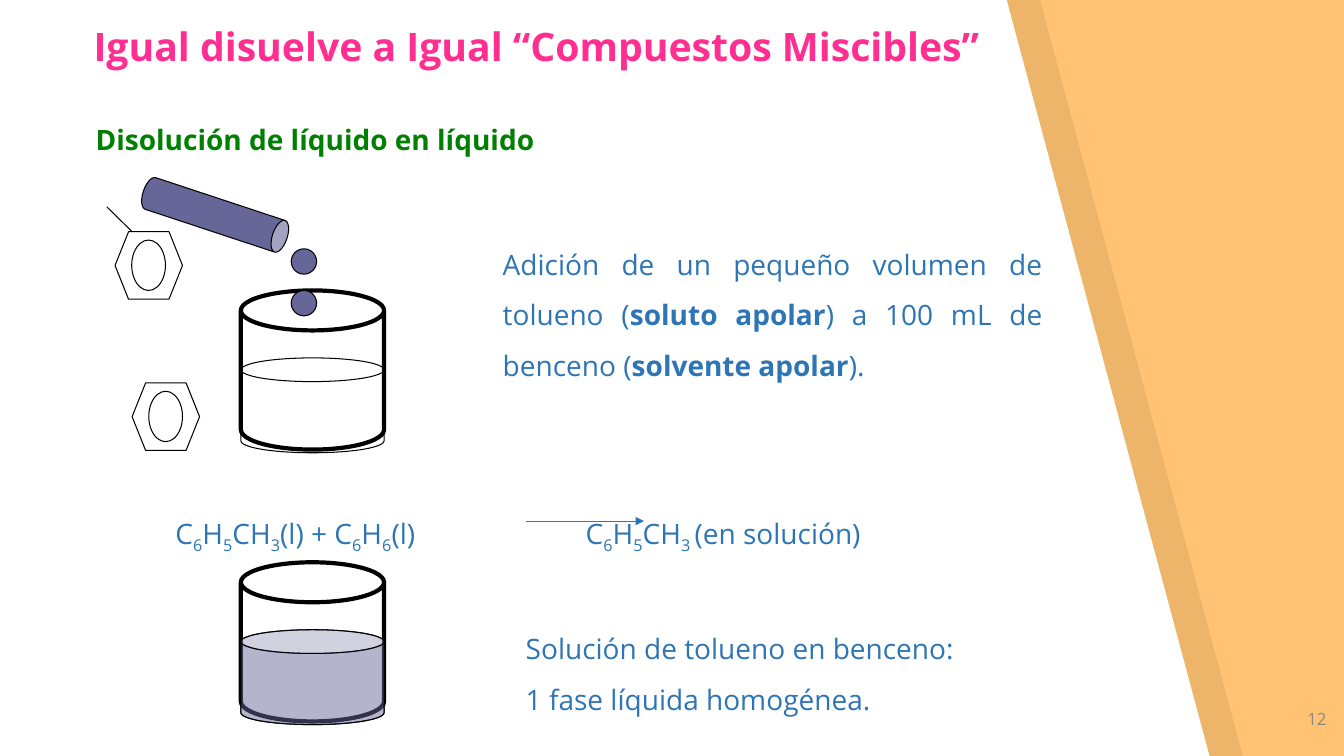
from lxml.etree import SubElement
from pptx import Presentation
from pptx.dml.color import RGBColor
from pptx.enum.shapes import MSO_CONNECTOR, MSO_SHAPE
from pptx.enum.text import MSO_ANCHOR, MSO_AUTO_SIZE, PP_ALIGN
from pptx.oxml.ns import qn
from pptx.util import Cm, Pt

COLORS = {
    "background": "FFC373",
    "band": "000000",
    "panel": "FFFFFF",
    "outline": "000000",
    "liquid": "666699",
    "title": "FF2F92",
    "subtitle": "008000",
    "body": "2E75B5",
    "number": "888888",
}


def add_figure(kind, box, line_width=0.75, fill=None, alpha=None, adjustment=None):
    shape = slide.shapes.add_shape(kind, *[Cm(value) for value in box])
    shape.shadow.inherit = False
    shape.line.color.rgb = RGBColor.from_string(COLORS["outline"])
    shape.line.width = Pt(line_width)
    if adjustment:
        shape.adjustments[0] = adjustment
    if fill:
        shape.fill.solid()
        shape.fill.fore_color.rgb = RGBColor.from_string(COLORS[fill])
    else:
        shape.fill.background()
    if alpha:
        color = shape.fill._xPr.find(".//" + qn("a:srgbClr"))
        SubElement(color, qn("a:alpha"), val=str(alpha * 1000))
    return shape


def add_text(box, paragraphs, color, size=20, bold=False, frame_format=None, paragraph_format=None):
    text_frame = slide.shapes.add_textbox(*[Cm(value) for value in box]).text_frame
    frame_values = {"word_wrap": True, "auto_size": MSO_AUTO_SIZE.SHAPE_TO_FIT_TEXT}
    for name, value in (frame_values | (frame_format or {})).items():
        setattr(text_frame, name, value)
    for index, runs in enumerate(paragraphs):
        paragraph = text_frame.add_paragraph() if index else text_frame.paragraphs[0]
        for name, value in (paragraph_format or {}).items():
            setattr(paragraph, name, value)
        for text, style in runs:
            run = paragraph.add_run()
            run.text = text
            font_format = {"name": "Open Sans", "size": Pt(size), "bold": bold or style == "bold"}
            for name, value in font_format.items():
                setattr(run.font, name, value)
            run.font.color.rgb = RGBColor.from_string(COLORS[color])
            if style == "subscript":
                run._r.get_or_add_rPr().set("baseline", "-25000")
    return text_frame


presentation = Presentation()
presentation.slide_width = Cm(33.87)
presentation.slide_height = Cm(19.05)
slide = presentation.slides.add_slide(presentation.slide_layouts[6])
slide.background.fill.solid()
slide.background.fill.fore_color.rgb = RGBColor.from_string(COLORS["background"])

for left, fill, alpha in [(0.84, "band", 7), (0, "panel", 100)]:
    builder = slide.shapes.build_freeform(Cm(left), 0)
    corners = [(left, 19.05), (left + 30.48, 19.05), (left + 25.37, 0)]
    builder.add_line_segments([(Cm(x), Cm(y)) for x, y in corners], close=True)
    panel = builder.convert_to_shape()
    panel.shadow.inherit = False
    panel.line.fill.background()
    panel.fill.solid()
    panel.fill.fore_color.rgb = RGBColor.from_string(COLORS[fill])
    SubElement(panel.fill._xPr.find(".//" + qn("a:srgbClr")), qn("a:alpha"), val=str(alpha * 1000))

add_text((31.65, 17.6, 2.03, 1.45), [[("12", "")]], "number", size=12,
         frame_format={"auto_size": MSO_AUTO_SIZE.NONE, "margin_top": Cm(0.25), "margin_bottom": Cm(0.25)},
         paragraph_format={"alignment": PP_ALIGN.RIGHT})
add_text((0, 0.43, 27.03, 1.45), [[("Igual disuelve a Igual “Compuestos Miscibles”", "")]],
         "title", size=28, bold=True, paragraph_format={"alignment": PP_ALIGN.CENTER})
add_text((2.16, 2.67, 16.08, 1.27), [[("Disolución de líquido en líquido", "")]],
         "subtitle", bold=True,
         frame_format={"auto_size": MSO_AUTO_SIZE.NONE, "vertical_anchor": MSO_ANCHOR.MIDDLE},
         paragraph_format={"line_spacing": 1.5})

for beaker_top in (7.32, 14.17):
    add_figure(MSO_SHAPE.CAN, (6.07, beaker_top, 3.61, 4.01), line_width=3, adjustment=0.279)
    liquid_box = (6.07, beaker_top + 1.7, 3.61, 2.39)
    add_figure(MSO_SHAPE.CAN, liquid_box, adjustment=0.25)
add_figure(MSO_SHAPE.CAN, liquid_box, fill="liquid", alpha=49, adjustment=0.25)

test_tube = add_figure(MSO_SHAPE.CAN, (5, 3.51, 0.84, 3.81), fill="liquid", adjustment=0.446)
test_tube.rotation = 108.3
for drop_top in (6.27, 7.32):
    add_figure(MSO_SHAPE.OVAL, (7.34, drop_top, 0.64, 0.64), fill="liquid")

for ring_left, ring_top in [(2.9, 5.84), (3.33, 9.65)]:
    add_figure(MSO_SHAPE.FLOWCHART_PREPARATION, (ring_left, ring_top, 1.7, 1.7))
    add_figure(MSO_SHAPE.OVAL, (ring_left + 0.42, ring_top + 0.21, 0.85, 1.27))

justified = {"alignment": PP_ALIGN.JUSTIFY, "line_spacing": 1.5}
add_text((12.42, 5.69, 14.1, 3.99), [[
    ("Adición de un pequeño volumen de tolueno (", ""), ("soluto apolar", "bold"),
    (") a 100 mL de benceno (", ""), ("solvente apolar", "bold"), (").", ""),
]], "body", paragraph_format=justified)
add_text((13, 15.37, 14.02, 2.72), [
    [("Solución de tolueno en benceno:", "")],
    [("1 fase líquida homogénea.", "")],
], "body", paragraph_format=justified)

equation_parts = ["C", "6", "H", "5", "CH", "3", "(l) + C", "6", "H", "6", "(l)\tC",
                  "6", "H", "5", "CH", "3 ", "(en solución)"]
equation = [(part, "subscript" if part.strip().isdigit() else "") for part in equation_parts]
equation_frame = add_text((4.17, 12.4, 25.22, 1.42), [equation], "body",
                          paragraph_format={"line_spacing": 1.5})
tab_list = SubElement(equation_frame.paragraphs[0]._p.get_or_add_pPr(), qn("a:tabLst"))
SubElement(tab_list, qn("a:tab"), pos=str(Cm(10.34)), algn="l")

for ends, color, arrowhead in [
    ((3.33, 5.84, 2.69, 5.21), "outline", False),
    ((13.26, 13.13, 16.23, 13.13), "body", True),
]:
    connector = slide.shapes.add_connector(MSO_CONNECTOR.STRAIGHT, *[Cm(value) for value in ends])
    connector.line.color.rgb = RGBColor.from_string(COLORS[color])
    connector.line.width = Pt(0.75)
    if arrowhead:
        SubElement(connector.line._get_or_add_ln(), qn("a:tailEnd"), type="triangle")
    SubElement(connector._element.spPr, qn("a:effectLst"))

presentation.save("out.pptx")
